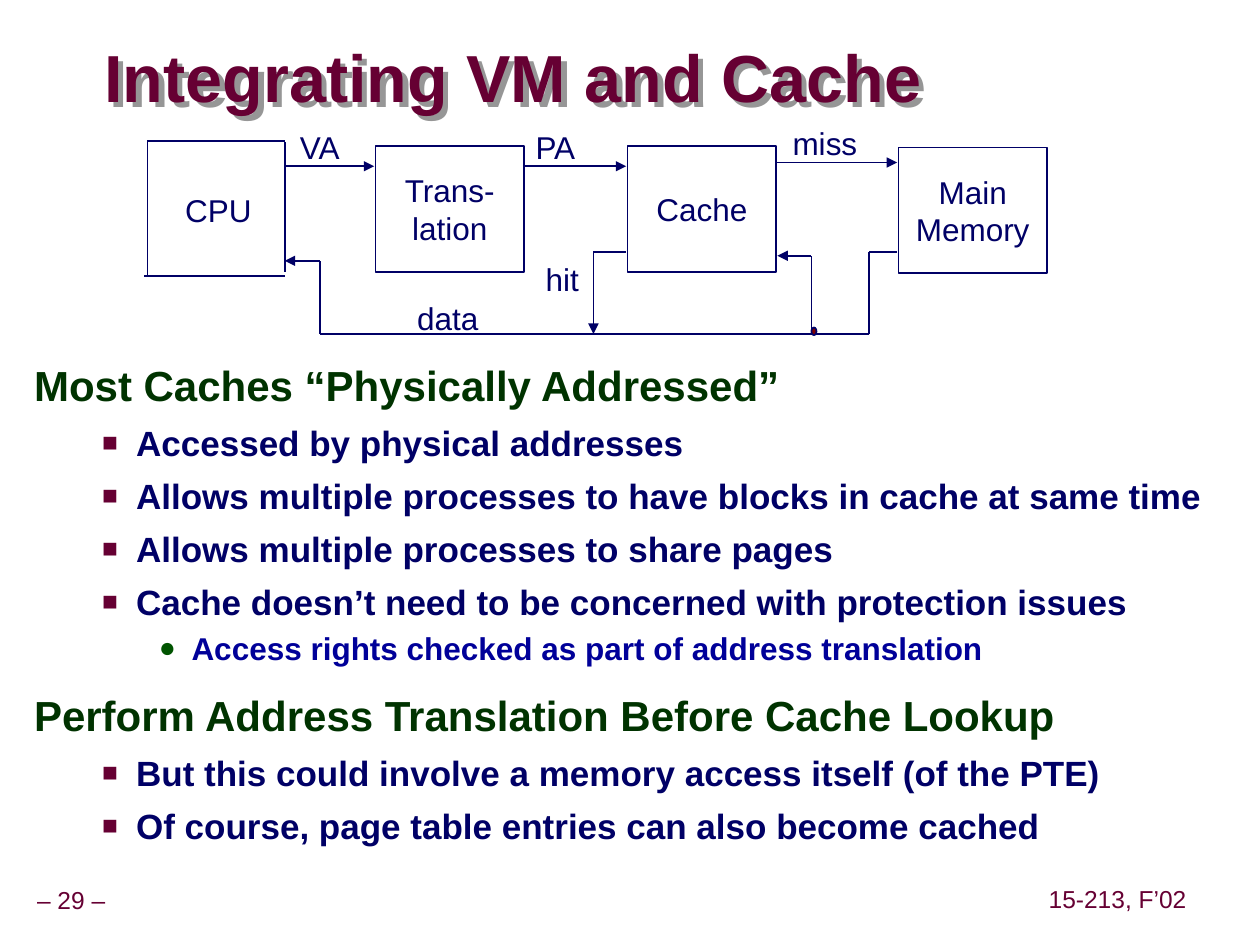
from itertools import pairwise
from lxml.etree import SubElement
from pptx import Presentation
from pptx.dml.color import RGBColor
from pptx.enum.shapes import MSO_CONNECTOR, MSO_SHAPE
from pptx.enum.text import MSO_ANCHOR, MSO_AUTO_SIZE, PP_ALIGN
from pptx.oxml.ns import qn
from pptx.util import Inches, Pt

COLORS = {
    "maroon": "660033", "navy": "000066", "blue": "000099", "green": "003300",
    "bullet": "005400", "dot": "800000", "shadow": "969696",
}
LEVELS = [
    dict(size=24, color="green", left=0.42, hang=0.42, line=0.95, before=15, bullet=None),
    dict(size=20, color="navy", left=0.81, hang=0.27, line=1, before=6.2,
         bullet=("■", "maroon", 75)),
    dict(size=18, color="blue", left=1.25, hang=0.26, line=1.07, before=2.2,
         bullet=("●", "bullet", 90)),
]
BODY = [
    (0, "Most Caches “Physically Addressed”"),
    (1, "Accessed by physical addresses"),
    (1, "Allows multiple processes to have blocks in cache at same time"),
    (1, "Allows multiple processes to share pages"),
    (1, "Cache doesn’t need to be concerned with protection issues"),
    (2, "Access rights checked as part of address translation"),
    (0, "Perform Address Translation Before Cache Lookup"),
    (1, "But this could involve a memory access itself (of the PTE)"),
    (1, "Of course, page table entries can also become cached"),
]
BLOCKS = [("Trans-\nlation", 1.84, 0.16), ("Cache", 3.84, 0.16), ("Main\nMemory", 5.99, 0.17)]
LABELS = [
    ("CPU", 0.26, 0.53, 0.68), ("VA", 1.17, 0.03, 0.48), ("PA", 3.04, 0.03, 0.48),
    ("miss", 5.08, 0, 0.68), ("hit", 3.12, 1.08, 0.43), ("data", 2.1, 1.39, 0.65),
]
CPU_SIDES = [
    [(0.03, 0.12), (1.12, 0.12)], [(1.12, 0.13), (1.12, 1.16)],
    [(1.12, 1.19), (0, 1.19)], [(0.03, 1.19), (0.03, 0.11)],
]
ARROWS = [
    [(1.13, 0.32), (1.83, 0.32)],
    [(3.01, 0.32), (3.83, 0.32)],
    [(5.02, 0.29), (5.98, 0.29)],
    [(5.98, 1), (5.76, 1), (5.76, 1.65), (1.4, 1.65), (1.4, 1.07), (1.12, 1.07)],
    [(5.3, 1.65), (5.3, 1.03), (5.03, 1.03)],
    [(3.83, 1), (3.57, 1), (3.57, 1.65)],
]


def rgb(name):
    return RGBColor.from_string(COLORS[name])


def format_runs(p, size, color, bold=False):
    for r in p.runs:
        r.font.name = "Arial"
        r.font.size = Pt(size)
        r.font.bold = bold
        r.font.color.rgb = rgb(color)


def set_margins(tf, x, y):
    tf.margin_left = tf.margin_right = Inches(x)
    tf.margin_top = tf.margin_bottom = Inches(y)


def place(s, left, top, width, height):
    s.left, s.top = Inches(left), Inches(top)
    s.width, s.height = Inches(width), Inches(height)


def add_label(slide, text, left, top, width, size=18, color="navy", margins=(0.07, 0.03),
              spacing=0.85, align=PP_ALIGN.LEFT, anchor=MSO_ANCHOR.TOP):
    s = slide.shapes.add_textbox(Inches(left), Inches(top), Inches(width), Inches(0.31))
    tf = s.text_frame
    tf.word_wrap = False
    tf.auto_size = MSO_AUTO_SIZE.SHAPE_TO_FIT_TEXT
    tf.vertical_anchor = anchor
    set_margins(tf, *margins)
    tf.text = text
    p = tf.paragraphs[0]
    p.alignment = align
    p.line_spacing = spacing
    format_runs(p, size, color)


def add_outlined(slide, kind, left, top, width, height):
    s = slide.shapes.add_shape(kind, Inches(left), Inches(top), Inches(width), Inches(height))
    s.shadow.inherit = False
    s.fill.background()
    s.line.color.rgb = rgb("navy")
    s.line.width = Pt(1)
    return s


def add_block(slide, text, left, top):
    s = add_outlined(slide, MSO_SHAPE.RECTANGLE, left, top, 1.18, 1)
    tf = s.text_frame
    tf.word_wrap = False
    tf.vertical_anchor = MSO_ANCHOR.MIDDLE
    tf.text = text
    for p in tf.paragraphs:
        p.alignment = PP_ALIGN.CENTER
        format_runs(p, 18, "navy")


def add_wire(slide, points, left, top, arrow):
    for (x1, y1), (x2, y2) in pairwise(points):
        s = slide.shapes.add_connector(
            MSO_CONNECTOR.STRAIGHT, Inches(left + x1), Inches(top + y1),
            Inches(left + x2), Inches(top + y2))
        s.line.color.rgb = rgb("navy")
        s.line.width = Pt(1)
        SubElement(s._element.spPr, qn("a:effectLst"))
    if arrow:
        SubElement(s.line._get_or_add_ln(), qn("a:tailEnd"), type="triangle")


def add_diagram(slide, left, top):
    for text, x, y in BLOCKS:
        add_block(slide, text, left + x, top + y)
    for points in CPU_SIDES:
        add_wire(slide, points, left, top, False)
    for points in ARROWS:
        add_wire(slide, points, left, top, True)
    dot = add_outlined(slide, MSO_SHAPE.OVAL, left + 5.3, top + 1.6, 0.04, 0.06)
    dot.fill.solid()
    dot.fill.fore_color.rgb = rgb("dot")
    for text, x, y, width in LABELS:
        add_label(slide, text, left + x, top + y, width)


def set_text_shadow(s, color, distance):
    spPr = s._element.spPr
    SubElement(spPr, qn("a:noFill"))
    effects = SubElement(spPr, qn("a:effectLst"))
    shadow = SubElement(effects, qn("a:outerShdw"), dist=str(Inches(distance)),
                        dir="2700000", algn="ctr", rotWithShape="0")
    SubElement(shadow, qn("a:srgbClr"), val=COLORS[color])


def add_title(slide, text, left, top, width, height):
    s = slide.shapes.title
    place(s, left, top, width, height)
    set_text_shadow(s, "shadow", 0.06)
    tf = s.text_frame
    tf.text = text
    tf.auto_size = MSO_AUTO_SIZE.NONE
    tf.vertical_anchor = MSO_ANCHOR.MIDDLE
    set_margins(tf, 0, 0)
    p = tf.paragraphs[0]
    p.alignment = PP_ALIGN.LEFT
    p.line_spacing = 0.87
    format_runs(p, 38, "maroon", True)


def set_bullet(p, left, hang, bullet):
    pPr = p._p.get_or_add_pPr()
    pPr.set("marL", str(Inches(left)))
    pPr.set("indent", str(-Inches(hang)))
    if bullet is None:
        SubElement(pPr, qn("a:buNone"))
        return
    char, color, percent = bullet
    SubElement(SubElement(pPr, qn("a:buClr")), qn("a:srgbClr"), val=COLORS[color])
    SubElement(pPr, qn("a:buSzPct"), val=str(percent * 1000))
    SubElement(pPr, qn("a:buFont"), typeface="Arial")
    SubElement(pPr, qn("a:buChar"), char=char)


def add_body(slide, items, left, top, width, height):
    s = slide.placeholders[1]
    place(s, left, top, width, height)
    tf = s.text_frame
    tf.text = "\n".join(text for _, text in items)
    tf.auto_size = MSO_AUTO_SIZE.NONE
    set_margins(tf, 0.1, 0.05)
    for p, (level, _) in zip(tf.paragraphs, items):
        style = LEVELS[level]
        p.level = level
        p.line_spacing = style["line"]
        p.space_before = Pt(style["before"])
        set_bullet(p, style["left"], style["hang"], style["bullet"])
        format_runs(p, style["size"], style["color"], True)


def add_footer(slide):
    for text, left, top, width in [("– 29 –", -0.09, 7, 1.31), ("15-213, F’02", 8.27, 6.99, 1.2)]:
        add_label(slide, text, left, top, width, 14, "maroon", (0.05, 0.05), 0.9,
                  PP_ALIGN.CENTER, MSO_ANCHOR.MIDDLE)


def main():
    prs = Presentation()
    prs.slide_width, prs.slide_height = Inches(10), Inches(7.5)
    slide = prs.slides.add_slide(prs.slide_layouts[1])
    add_title(slide, "Integrating VM and Cache", 0.83, 0.33, 7.31, 0.63)
    add_diagram(slide, 1.14, 1)
    add_body(slide, BODY, 0.17, 2.83, 9.5, 4.13)
    add_footer(slide)
    prs.save("out.pptx")


if __name__ == "__main__":
    main()
